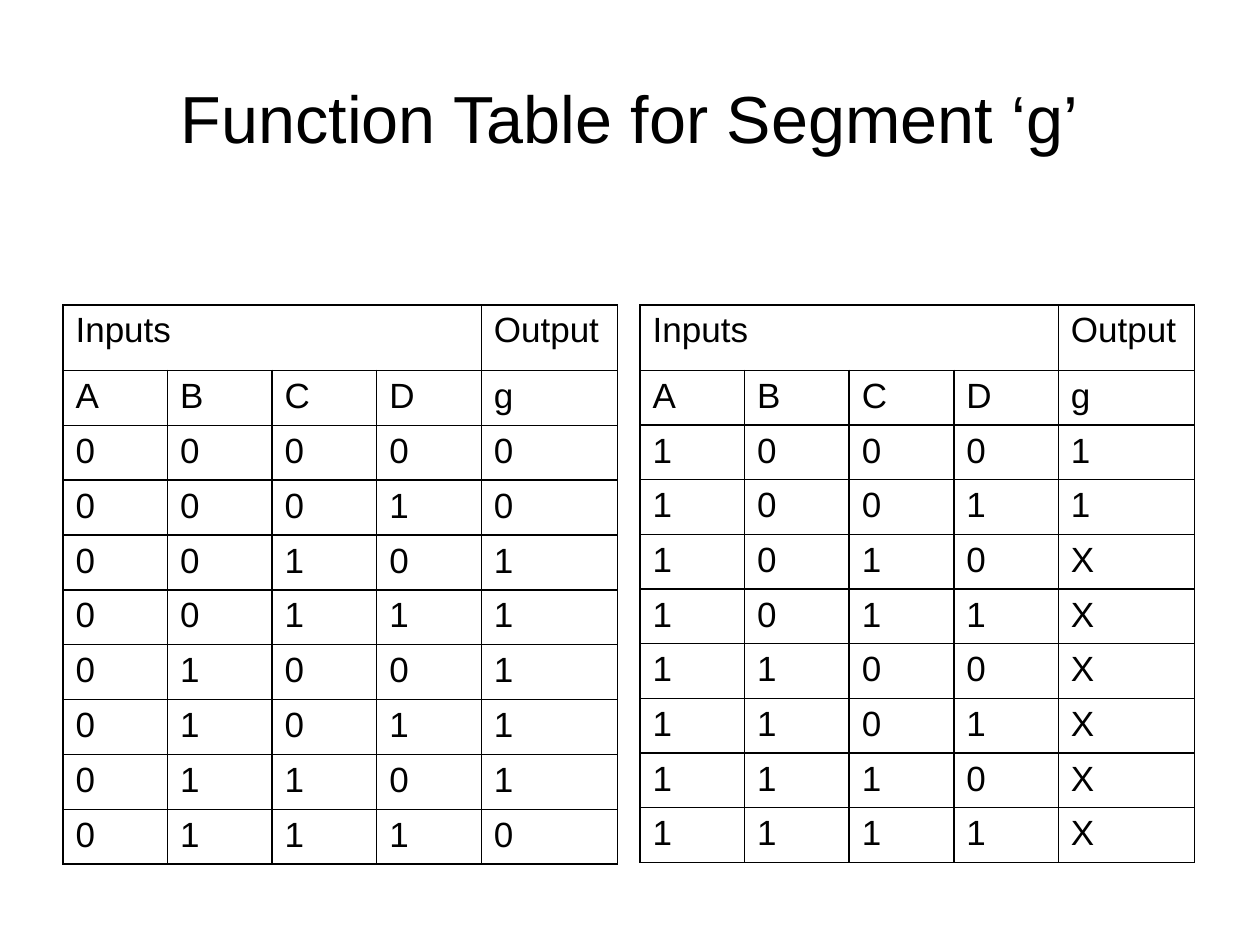
from dataclasses import dataclass
from itertools import product

from lxml.etree import SubElement
from pptx import Presentation
from pptx.dml.color import RGBColor
from pptx.enum.text import MSO_ANCHOR, PP_ALIGN
from pptx.oxml.ns import qn
from pptx.slide import Slide
from pptx.table import _Cell
from pptx.text.text import _Paragraph
from pptx.util import Inches, Pt


@dataclass(frozen=True)
class Theme:
    font: str = "Arial"
    ink: str = "000000"
    title: int = 38
    body: int = 20
    border: int = 1


@dataclass(frozen=True)
class TruthTable:
    left: float
    height: float
    lead: str
    outputs: str
    hanging: float

    def rows(self) -> list[list[str]]:
        bits = product("01", repeat=3)
        data = [[self.lead, *b, out] for b, out in zip(bits, self.outputs)]
        return [["Inputs", "", "", "", "Output"], list("ABCDg"), *data]


THEME = Theme()
WIDTH, HEIGHT = 10, 7.5
TOP = 2.42
HEADER = 0.52
COLS = (0.83, 0.83, 0.83, 0.83, 1.08)
TABLES = (
    TruthTable(0.05 * WIDTH, 4.44, "0", "00111110", 0.38),
    TruthTable(0.508 * WIDTH, 4.42, "1", "11XXXXXX", 0),
)


def write(p: _Paragraph, text: str, size: int, align: PP_ALIGN) -> None:
    p.alignment = align
    r = p.add_run()
    r.text = text
    for name, value in {"name": THEME.font, "size": Pt(size)}.items():
        setattr(r.font, name, value)
    r.font.color.rgb = RGBColor.from_string(THEME.ink)


def add_title(s: Slide, text: str) -> None:
    box = (0.05 * WIDTH, 0.04 * HEIGHT, 0.9 * WIDTH, HEIGHT / 6)
    tf = s.shapes.add_textbox(*map(Inches, box)).text_frame
    for name, value in {"word_wrap": True, "vertical_anchor": MSO_ANCHOR.MIDDLE}.items():
        setattr(tf, name, value)
    write(tf.paragraphs[0], text, THEME.title, PP_ALIGN.CENTER)


def style_cell(cell: _Cell) -> None:
    cell.fill.background()
    pr = cell._tc.get_or_add_tcPr()
    for i, side in enumerate(("lnL", "lnR", "lnT", "lnB")):
        ln = SubElement(pr, qn(f"a:{side}"), w=str(Pt(THEME.border)))
        fill = SubElement(ln, qn("a:solidFill"))
        SubElement(fill, qn("a:srgbClr"), val=THEME.ink)
        pr.insert(i, ln)


def add_truth_table(s: Slide, spec: TruthTable) -> None:
    rows = spec.rows()
    box = (spec.left, TOP, sum(COLS), spec.height)
    table = s.shapes.add_table(len(rows), len(COLS), *map(Inches, box)).table
    for name, value in {"first_row": False, "horz_banding": False}.items():
        setattr(table, name, value)
    for col, width in zip(table.columns, COLS):
        col.width = Inches(width)
    body = (spec.height - HEADER) / (len(rows) - 1)
    for i, row in enumerate(table.rows):
        row.height = Inches(body if i else HEADER)
    table.cell(0, 0).merge(table.cell(0, 3))
    for i, values in enumerate(rows):
        for j, text in enumerate(values):
            cell = table.cell(i, j)
            style_cell(cell)
            if not text:
                continue
            p = cell.text_frame.paragraphs[0]
            write(p, text, THEME.body, PP_ALIGN.JUSTIFY)
            if spec.hanging:
                indent = Inches(spec.hanging)
                for name, value in {"marL": indent, "indent": -indent}.items():
                    p._p.get_or_add_pPr().set(name, str(int(value)))


def main() -> None:
    prs = Presentation()
    prs.slide_width, prs.slide_height = Inches(WIDTH), Inches(HEIGHT)
    s = prs.slides.add_slide(prs.slide_layouts[6])
    add_title(s, "Function Table for Segment ‘g’")
    for table in TABLES:
        add_truth_table(s, table)
    prs.save("out.pptx")


if __name__ == "__main__":
    main()
